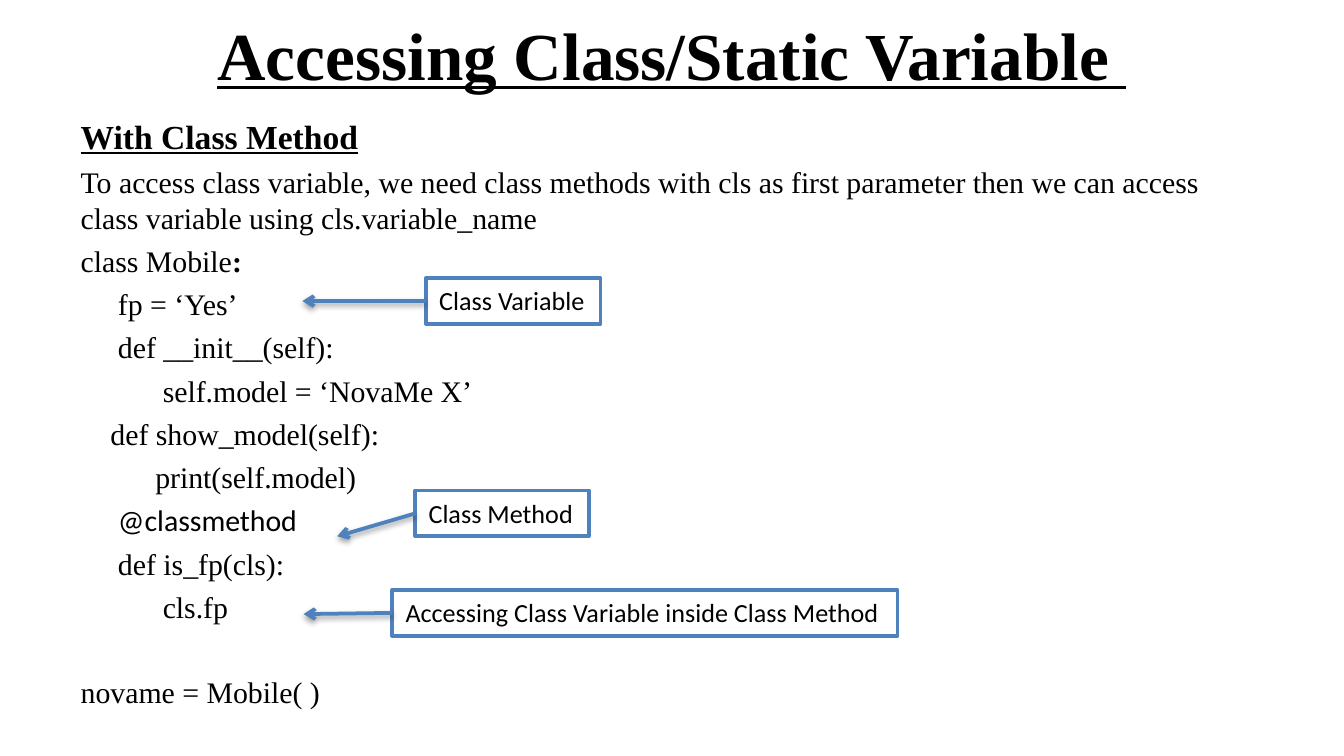
from pptx import Presentation
from pptx.dml.color import RGBColor
from pptx.enum.shapes import MSO_CONNECTOR, MSO_SHAPE
from pptx.enum.text import MSO_ANCHOR, MSO_AUTO_SIZE, PP_ALIGN
from pptx.oxml.ns import qn
from pptx.util import Pt
from lxml import etree

BLACK = RGBColor(0x00, 0x00, 0x00)
WHITE = RGBColor(0xFF, 0xFF, 0xFF)
BLUE = RGBColor(0x4F, 0x81, 0xBD)
SERIF = "Times New Roman"
SANS = "Calibri"
LEFT_SIDE = 1

# text, left indent, font
CODE_LINES = [
    ("fp = ‘Yes’", 20, SERIF),
    ("def __init__(self):", 20, SERIF),
    ("self.model = ‘NovaMe X’", 44, SERIF),
    ("def show_model(self):", 16, SERIF),
    ("print(self.model)", 40, SERIF),
    ("@classmethod", 20, SANS),
    ("def is_fp(cls):", 20, SERIF),
    ("cls.fp", 44, SERIF),
]

# text, left, top, width, arrow tip
CALLOUTS = [
    ("Class Variable", 228.2, 149, 93.6, (162, 161.3)),
    ("Class Method", 222.5, 262.8, 92.9, (180.7, 287.3)),
    ("Accessing Class Variable inside Class Method ", 210.2, 316.1, 270.7,
     (162.7, 329)),
]


def add_span(para, text, size=16, font=SERIF, bold=False, underline=False):
    span = para.add_run()
    span.text = text
    span.font.size = Pt(size)
    span.font.name = font
    span.font.bold = bold
    span.font.underline = underline
    span.font.color.rgb = BLACK


class SlideBuilder:
    def __init__(self, page):
        self.page = page
        self.line_width = Pt(2)
        self.callout_height = Pt(24.5)

    def place(self, holder, left, top, width, height):
        holder.left, holder.top = Pt(left), Pt(top)
        holder.width, holder.height = Pt(width), Pt(height)
        holder.text_frame.auto_size = MSO_AUTO_SIZE.NONE
        return holder.text_frame

    def title(self, text):
        frame = self.place(self.page.shapes.title, 36, -1.4, 648, 59.8)
        frame.vertical_anchor = MSO_ANCHOR.MIDDLE
        para = frame.paragraphs[0]
        para.alignment = PP_ALIGN.CENTER
        add_span(para, text, size=36, bold=True, underline=True)

    def body(self):
        return self.place(self.page.placeholders[1], 36, 58.3, 648, 329.8)

    def body_line(self, frame, text, indent=0, space=4, **style):
        """Fill the first empty paragraph, or add one, without a bullet."""
        para = frame.paragraphs[0]
        if para.runs:
            para = frame.add_paragraph()
        para.space_before = Pt(space)
        properties = para._p.get_or_add_pPr()
        properties.set("marL", str(Pt(indent)))
        properties.set("indent", "0")
        etree.SubElement(properties, qn("a:buNone"))
        add_span(para, text, **style)
        return para

    def callout(self, text, left, top, width):
        box = self.page.shapes.add_shape(
            MSO_SHAPE.RECTANGLE, Pt(left), Pt(top), Pt(width),
            self.callout_height)
        box.shadow.inherit = False
        box.fill.solid()
        box.fill.fore_color.rgb = WHITE
        box.line.color.rgb = BLUE
        box.line.width = self.line_width
        frame = box.text_frame
        frame.word_wrap = False
        frame.auto_size = MSO_AUTO_SIZE.SHAPE_TO_FIT_TEXT
        frame.vertical_anchor = MSO_ANCHOR.TOP
        para = frame.paragraphs[0]
        para.alignment = PP_ALIGN.LEFT
        add_span(para, text, size=14, font=SANS)
        return box

    def arrow(self, box, tip):
        """Draw an arrow from the left side of a box; it keeps the theme shadow."""
        end_x, end_y = tip
        arrow = self.page.shapes.add_connector(
            MSO_CONNECTOR.STRAIGHT, box.left, box.top + box.height // 2,
            Pt(end_x), Pt(end_y))
        arrow.begin_connect(box, LEFT_SIDE)
        arrow.line.color.rgb = BLUE
        arrow.line.width = self.line_width
        etree.SubElement(arrow.line._get_or_add_ln(), qn("a:tailEnd"),
                         type="arrow")


def main():
    deck = Presentation()
    deck.slide_width, deck.slide_height = Pt(720), Pt(405)
    builder = SlideBuilder(deck.slides.add_slide(deck.slide_layouts[1]))

    builder.title("Accessing Class/Static Variable ")

    frame = builder.body()
    builder.body_line(frame, "With Class Method", size=18, bold=True,
                      underline=True)
    builder.body_line(
        frame, "To access class variable, we need class methods with cls as "
        "first parameter then we can access class variable using "
        "cls.variable_name")
    class_line = builder.body_line(frame, "class Mobile")
    add_span(class_line, ":", bold=True)
    for text, indent, font in CODE_LINES:
        builder.body_line(frame, text, indent=indent, font=font)
    builder.body_line(frame, "novame = Mobile( )", space=26.4)

    for text, left, top, width, tip in CALLOUTS:
        box = builder.callout(text, left, top, width)
        builder.arrow(box, tip)

    deck.save("out.pptx")


if __name__ == "__main__":
    main()
